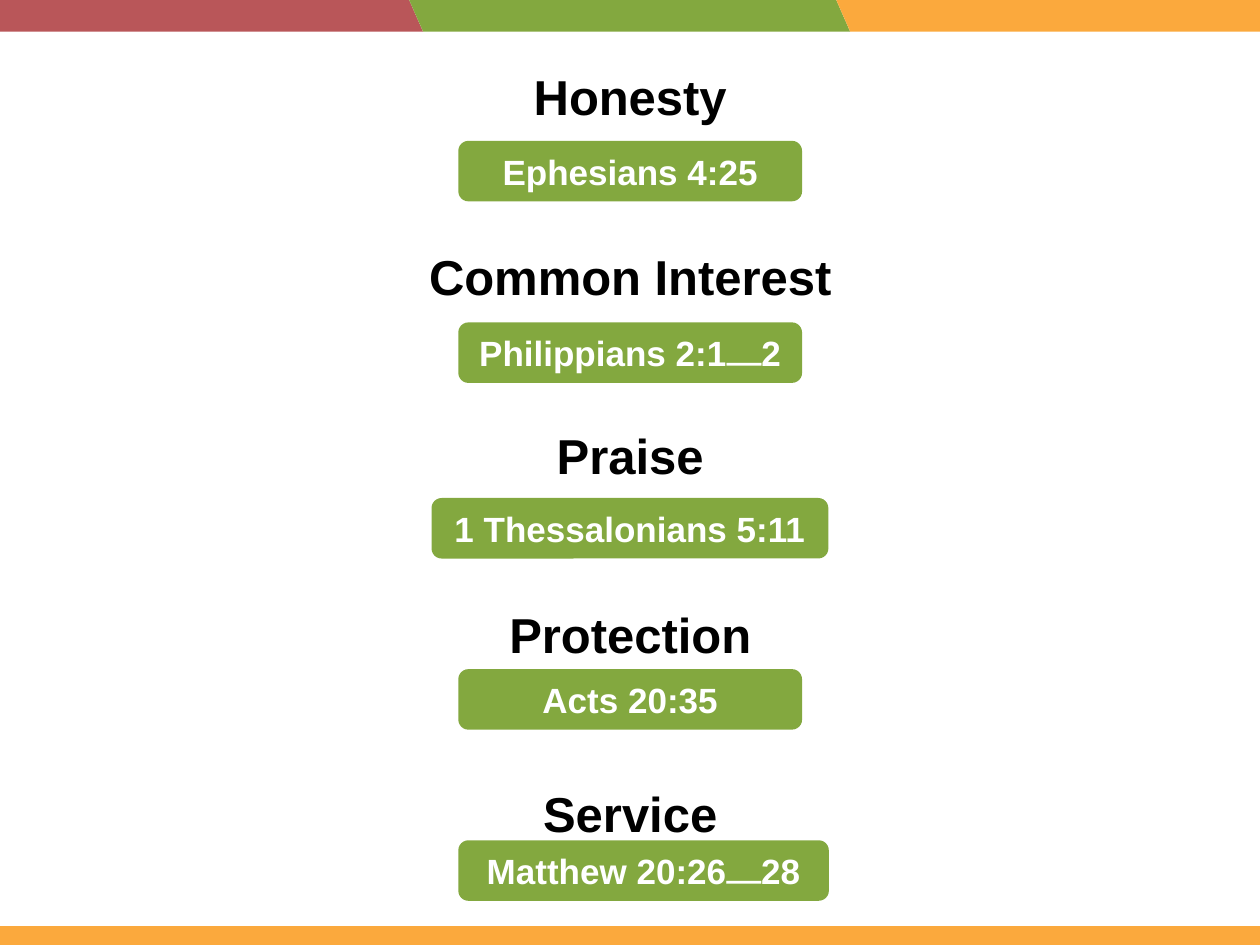
from pptx import Presentation
from pptx.dml.color import RGBColor
from pptx.enum.shapes import MSO_SHAPE as Shape
from pptx.enum.text import MSO_ANCHOR as Anchor, PP_ALIGN as Align
from pptx.util import Cm, Pt

COLORS = {"red": "B95659", "green": "83A83F", "orange": "FBA93D",
          "black": "000000", "white": "FFFFFF"}
FONT = "Arial"
PAGE_W, PAGE_H = 25.4, 19.05

# Heading, verse, then left, top and width of the verse label in cm
VALUES = [
    ("Honesty", "Ephesians 4:25", 9.24, 2.84, 6.93),
    ("Common Interest", "Philippians 2:1⎼2", 9.24, 6.5, 6.93),
    ("Praise", "1 Thessalonians 5:11", 8.7, 10.04, 8),
    ("Protection", "Acts 20:35", 9.24, 13.49, 6.93),
    ("Service", "Matthew 20:26⎼28", 9.24, 16.94, 7.47),
]
LABEL_H = 1.22
HEADING_GAP = 68.7

BANNER = ["red", "green", "orange"]
BANNER_LEFT, BANNER_STEP = -0.36, 8.61
BANNER_W, BANNER_H = 8.89, 0.64
FOOTER_H = 0.38


def add_block(page, kind, left, top, width, height, color):
    block = page.shapes.add_shape(kind, Cm(left), Cm(top), Cm(width), Cm(height))
    block.shadow.inherit = False
    block.fill.solid()
    block.fill.fore_color.rgb = RGBColor.from_string(COLORS[color])
    block.line.fill.background()
    return block


def write(para, text, size, color):
    para.text = text
    para.alignment = Align.CENTER
    para.font.name = FONT
    para.font.size = Pt(size)
    para.font.bold = True
    para.font.color.rgb = RGBColor.from_string(COLORS[color])


def add_bands(page):
    add_block(page, Shape.RECTANGLE, 0, PAGE_H - FOOTER_H, PAGE_W, FOOTER_H, "orange")
    for index, color in enumerate(BANNER):
        band = add_block(page, Shape.PARALLELOGRAM, BANNER_LEFT + index * BANNER_STEP,
                         0, BANNER_W, BANNER_H, color)
        band.adjustments[0] = 0.44
        band._element.spPr.xfrm.set("flipH", "1")


def add_headings(page):
    box = page.shapes.add_textbox(Cm(5.72), Cm(1.17), Cm(13.97), Cm(17.02))
    frame = box.text_frame
    frame.word_wrap = True
    frame.margin_top = Cm(0.18)
    for index, (heading, *_) in enumerate(VALUES):
        para = frame.add_paragraph() if index else frame.paragraphs[0]
        if index:
            para.space_before = Pt(HEADING_GAP)
        write(para, heading, 28, "black")


def add_verses(page):
    for _, verse, left, top, width in VALUES:
        label = add_block(page, Shape.ROUNDED_RECTANGLE, left, top, width, LABEL_H, "green")
        label.text_frame.vertical_anchor = Anchor.MIDDLE
        write(label.text_frame.paragraphs[0], verse, 20, "white")


def main():
    deck = Presentation()
    deck.slide_width, deck.slide_height = Cm(PAGE_W), Cm(PAGE_H)
    page = deck.slides.add_slide(deck.slide_layouts[6])
    add_bands(page)
    add_headings(page)
    add_verses(page)
    deck.save("out.pptx")


if __name__ == "__main__":
    main()
